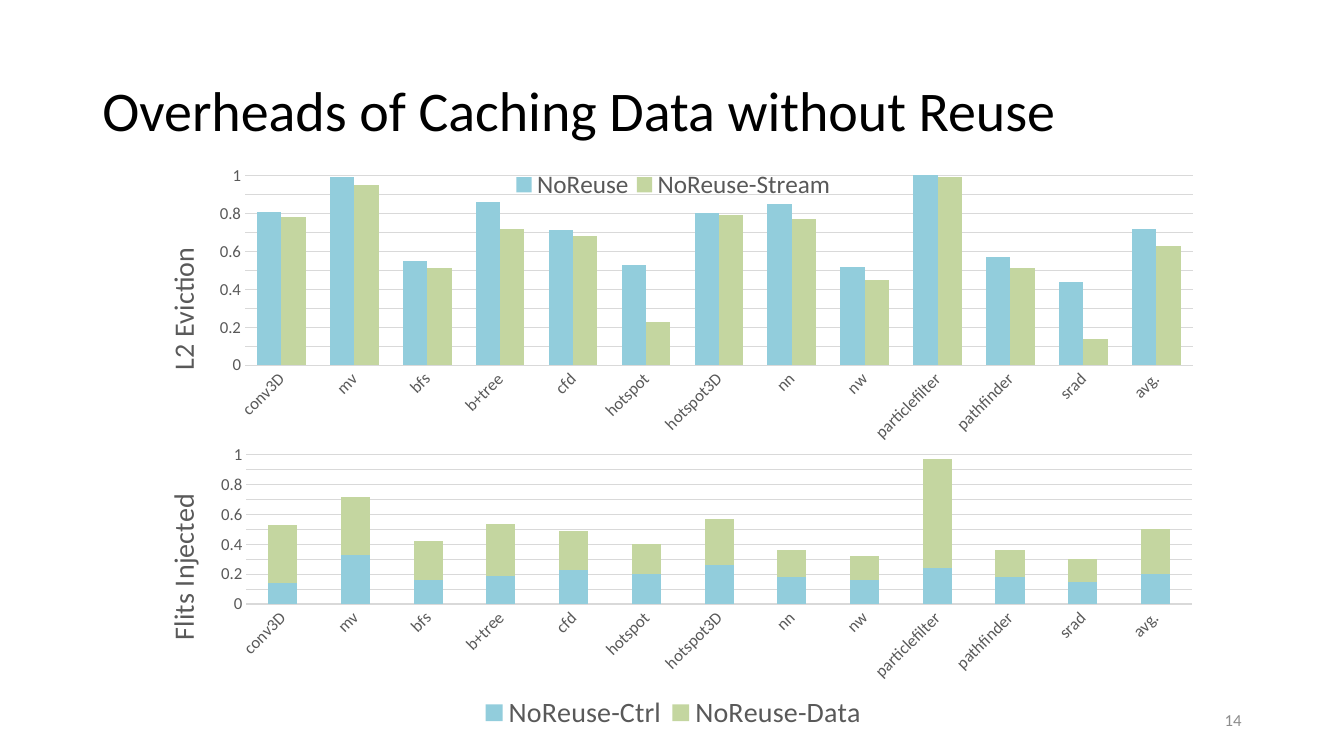
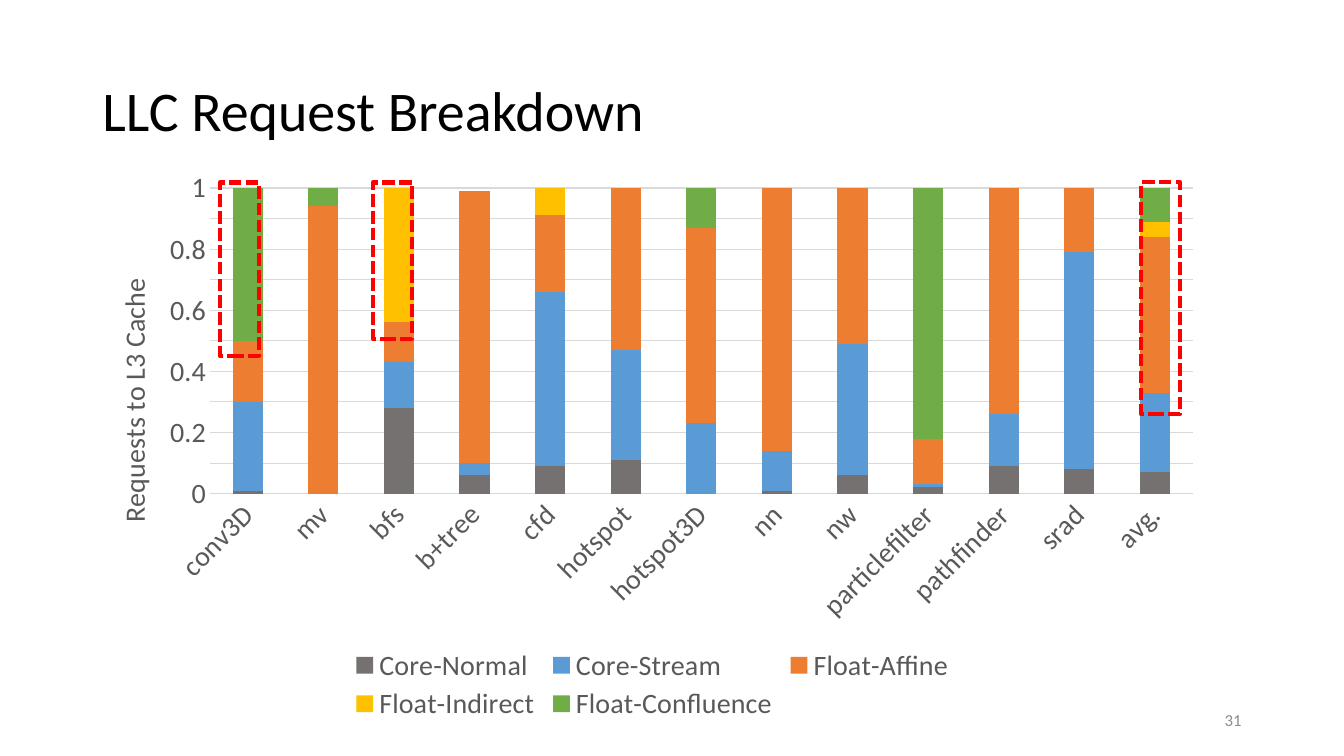
import copy
import dataclasses
import typing

import lxml.etree
import pptx
import pptx.chart.chart
import pptx.chart.data
import pptx.dml.color
import pptx.dml.line
import pptx.enum.chart
import pptx.enum.dml
import pptx.enum.shapes
import pptx.enum.text
import pptx.oxml.ns
import pptx.presentation
import pptx.slide
import pptx.text.text
import pptx.util

FONT = "Calibri"
BLACK = "000000"
TEXT_GRAY = "595959"
NUMBER_GRAY = "8C8C8C"
GRID_GRAY = "D9D9D9"
HIGHLIGHT_RED = "FF0000"
LIGHT_BLUE = "92CDDC"
LIGHT_GREEN = "C4D6A0"
CATEGORIES = ("conv3D", "mv", "bfs", "b+tree", "cfd", "hotspot", "hotspot3D", "nn", "nw",
              "particlefilter", "pathfinder", "srad", "avg.")
CLUSTERED = pptx.enum.chart.XL_CHART_TYPE.COLUMN_CLUSTERED
STACKED = pptx.enum.chart.XL_CHART_TYPE.COLUMN_STACKED


class Box(typing.NamedTuple):
    left: float
    top: float
    width: float
    height: float

    def lengths(self) -> list[pptx.util.Pt]:
        return [pptx.util.Pt(value) for value in self]


class Series(typing.NamedTuple):
    name: str
    color: str
    values: tuple[float, ...]


@dataclasses.dataclass(frozen=True)
class ChartPlan:
    kind: pptx.enum.chart.XL_CHART_TYPE
    frame: Box
    plot: Box
    legend: Box
    axis_title: str
    axis_title_left: float
    axis_title_top: float
    label_size: int
    legend_size: int
    gap: int
    series: tuple[Series, ...]


@dataclasses.dataclass(frozen=True)
class SlidePlan:
    title: str
    number: int
    charts: tuple[ChartPlan, ...]
    highlights: tuple[Box, ...] = ()


TITLE_BOX = Box(66, 28.8, 828, 104.4)
NUMBER_BOX = Box(678, 500.5, 216, 28.8)

EVICTION = ChartPlan(
    CLUSTERED, Box(92, 113, 775.5, 242.5), Box(175, 125.4, 677, 135.5), Box(363, 120, 236, 24),
    "L2 Eviction", 113, 173, 12, 18, 100,
    (
        Series("NoReuse", LIGHT_BLUE,
               (0.81, 0.99, 0.55, 0.86, 0.71, 0.53, 0.8, 0.85, 0.52, 1, 0.57, 0.44, 0.72)),
        Series("NoReuse-Stream", LIGHT_GREEN,
               (0.78, 0.95, 0.51, 0.72, 0.68, 0.23, 0.79, 0.77, 0.45, 0.99, 0.51, 0.14, 0.63)),
    ),
)
INJECTION = ChartPlan(
    STACKED, Box(93, 313.2, 773.3, 216), Box(176, 325, 675.4, 106.5), Box(339, 499, 284, 27),
    "Flits Injected", 113, 349, 12, 20, 150,
    (
        Series("NoReuse-Ctrl", LIGHT_BLUE,
               (0.14, 0.33, 0.16, 0.19, 0.23, 0.2, 0.26, 0.18, 0.16, 0.24, 0.18, 0.15, 0.2)),
        Series("NoReuse-Data", LIGHT_GREEN,
               (0.39, 0.39, 0.26, 0.35, 0.26, 0.2, 0.31, 0.18, 0.16, 0.73, 0.18, 0.15, 0.3)),
    ),
)
REQUESTS = ChartPlan(
    STACKED, Box(60.5, 113.8, 807.8, 405.4), Box(150, 134.3, 702, 218.4), Box(248, 460, 436, 58),
    "Requests to L3 Cache", 78, 195, 20, 20, 150,
    (
        Series("Core-Normal", "767171",
               (0.01, 0, 0.28, 0.06, 0.09, 0.11, 0, 0.01, 0.06, 0.02, 0.09, 0.08, 0.07)),
        Series("Core-Stream", "5B9BD5",
               (0.29, 0, 0.15, 0.04, 0.57, 0.36, 0.23, 0.13, 0.43, 0.01, 0.17, 0.71, 0.26)),
        Series("Float-Affine", "ED7D31",
               (0.2, 0.94, 0.13, 0.89, 0.25, 0.53, 0.64, 0.86, 0.51, 0.15, 0.74, 0.22, 0.51)),
        Series("Float-Indirect", "FFC000", (0, 0, 0.44, 0, 0.1, 0, 0, 0, 0, 0, 0, 0, 0.05)),
        Series("Float-Confluence", "70AD47",
               (0.51, 0.06, 0, 0, 0, 0, 0.13, 0, 0, 0.82, 0, 0, 0.13)),
    ),
)
SLIDES = (
    SlidePlan("Overheads of Caching Data without Reuse", 14, (EVICTION, INJECTION)),
    SlidePlan("LLC Request Breakdown", 31, (REQUESTS,), tuple(
        Box(left, 130.3, 28, height)
        for left, height in ((815, 165.6), (266.4, 111.6), (157, 123.8))
    )),
)


def rgb(color: str) -> pptx.dml.color.RGBColor:
    return pptx.dml.color.RGBColor.from_string(color)


def style_font(font: pptx.text.text.Font, size: float, color: str) -> None:
    font.name = FONT
    font.size = pptx.util.Pt(size)
    font.bold = False
    font.color.rgb = rgb(color)


def style_line(line: pptx.dml.line.LineFormat, color: str, width: float) -> None:
    line.color.rgb = rgb(color)
    line.width = pptx.util.Pt(width)


def fill_text(frame: pptx.text.text.TextFrame, text: str, size: float, color: str,
              alignment: pptx.enum.text.PP_ALIGN) -> None:
    frame.text = text
    frame.word_wrap = True
    frame.auto_size = pptx.enum.text.MSO_AUTO_SIZE.NONE
    frame.vertical_anchor = pptx.enum.text.MSO_ANCHOR.MIDDLE
    paragraph = frame.paragraphs[0]
    paragraph.alignment = alignment
    paragraph.line_spacing = 0.9
    style_font(paragraph.runs[0].font, size, color)


def place_part(chart: pptx.chart.chart.Chart, query: str, index: int, frame: Box,
               left: float, top: float, width: float = 0, height: float = 0) -> None:
    qualify = pptx.oxml.ns.qn
    part = chart.element.xpath(query)[0]
    for old_layout in part.findall(qualify("c:layout")):
        part.remove(old_layout)
    layout = lxml.etree.Element(qualify("c:layout"))
    manual = lxml.etree.SubElement(layout, qualify("c:manualLayout"))
    settings = {"xMode": "edge", "yMode": "edge",
                "x": (left - frame.left) / frame.width, "y": (top - frame.top) / frame.height}
    if query.endswith("plotArea"):
        settings = {"layoutTarget": "inner", **settings}
    if width:
        settings |= {"w": width / frame.width, "h": height / frame.height}
    for name, value in settings.items():
        lxml.etree.SubElement(manual, qualify(f"c:{name}")).set("val", str(value))
    part.insert(index, layout)


def rotate_text(chart: pptx.chart.chart.Chart, query: str, degrees: int) -> None:
    body = chart.element.xpath(f"{query}//a:bodyPr")[0]
    body.set("rot", str(degrees * 60000))
    body.set("vert", "horz")


def style_axes(chart: pptx.chart.chart.Chart, plan: ChartPlan) -> None:
    for axis in (chart.category_axis, chart.value_axis):
        axis.major_tick_mark = axis.minor_tick_mark = pptx.enum.chart.XL_TICK_MARK.NONE
        style_font(axis.tick_labels.font, plan.label_size, TEXT_GRAY)
    style_line(chart.category_axis.format.line, GRID_GRAY, 0.75)
    rotate_text(chart, ".//c:catAx/c:txPr", -45)

    value_axis = chart.value_axis
    value_axis.minimum_scale, value_axis.maximum_scale = 0, 1
    value_axis.major_unit, value_axis.minor_unit = 0.2, 0.1
    value_axis.has_major_gridlines = value_axis.has_minor_gridlines = True
    style_line(value_axis.major_gridlines.format.line, GRID_GRAY, 0.75)
    grid_style = chart.element.xpath(".//c:valAx/c:majorGridlines/c:spPr")[0]
    chart.element.xpath(".//c:valAx/c:minorGridlines")[0].append(copy.deepcopy(grid_style))
    value_axis.format.line.fill.background()
    value_axis.tick_labels.number_format = "General"
    value_axis.tick_labels.number_format_is_linked = False
    title_frame = value_axis.axis_title.text_frame
    title_frame.text = plan.axis_title
    style_font(title_frame.paragraphs[0].runs[0].font, 20, TEXT_GRAY)
    rotate_text(chart, ".//c:valAx/c:title", -90)


def add_column_chart(slide: pptx.slide.Slide, plan: ChartPlan) -> None:
    data = pptx.chart.data.CategoryChartData()
    data.categories = CATEGORIES
    for series in plan.series:
        data.add_series(series.name, series.values)
    chart = slide.shapes.add_chart(plan.kind, *plan.frame.lengths(), data).chart
    style_font(chart.font, plan.label_size, BLACK)
    chart.has_title = False
    plot = chart.plots[0]
    plot.vary_by_categories = False
    plot.gap_width = plan.gap
    plot.overlap = 100 if plan.kind == STACKED else 0
    for drawn, series in zip(plot.series, plan.series):
        drawn.format.fill.solid()
        drawn.format.fill.fore_color.rgb = rgb(series.color)
    style_axes(chart, plan)
    chart.has_legend = True
    chart.legend.position = pptx.enum.chart.XL_LEGEND_POSITION.BOTTOM
    chart.legend.include_in_layout = False
    style_font(chart.legend.font, plan.legend_size, TEXT_GRAY)
    place_part(chart, ".//c:plotArea", 0, plan.frame, *plan.plot)
    place_part(chart, ".//c:legend", 1, plan.frame, *plan.legend)
    place_part(chart, ".//c:valAx/c:title", 1, plan.frame,
               plan.axis_title_left, plan.axis_title_top)


def add_highlight(slide: pptx.slide.Slide, box: Box) -> None:
    shape = slide.shapes.add_shape(pptx.enum.shapes.MSO_SHAPE.RECTANGLE, *box.lengths())
    shape.shadow.inherit = False
    shape.fill.background()
    style_line(shape.line, HIGHLIGHT_RED, 3)
    shape.line.dash_style = pptx.enum.dml.MSO_LINE.SQUARE_DOT


def add_slide(presentation: pptx.presentation.Presentation, plan: SlidePlan) -> None:
    slide = presentation.slides.add_slide(presentation.slide_layouts[5])
    title = slide.shapes.title
    title.left, title.top, title.width, title.height = TITLE_BOX.lengths()
    fill_text(title.text_frame, plan.title, 40, BLACK, pptx.enum.text.PP_ALIGN.LEFT)
    number = slide.shapes.add_textbox(*NUMBER_BOX.lengths())
    fill_text(number.text_frame, str(plan.number), 12, NUMBER_GRAY,
              pptx.enum.text.PP_ALIGN.RIGHT)
    for chart_plan in plan.charts:
        add_column_chart(slide, chart_plan)
    for box in plan.highlights:
        add_highlight(slide, box)


def main() -> None:
    presentation = pptx.Presentation()
    presentation.slide_width = pptx.util.Pt(960)
    presentation.slide_height = pptx.util.Pt(540)
    for plan in SLIDES:
        add_slide(presentation, plan)
    presentation.save("out.pptx")


if __name__ == "__main__":
    main()
